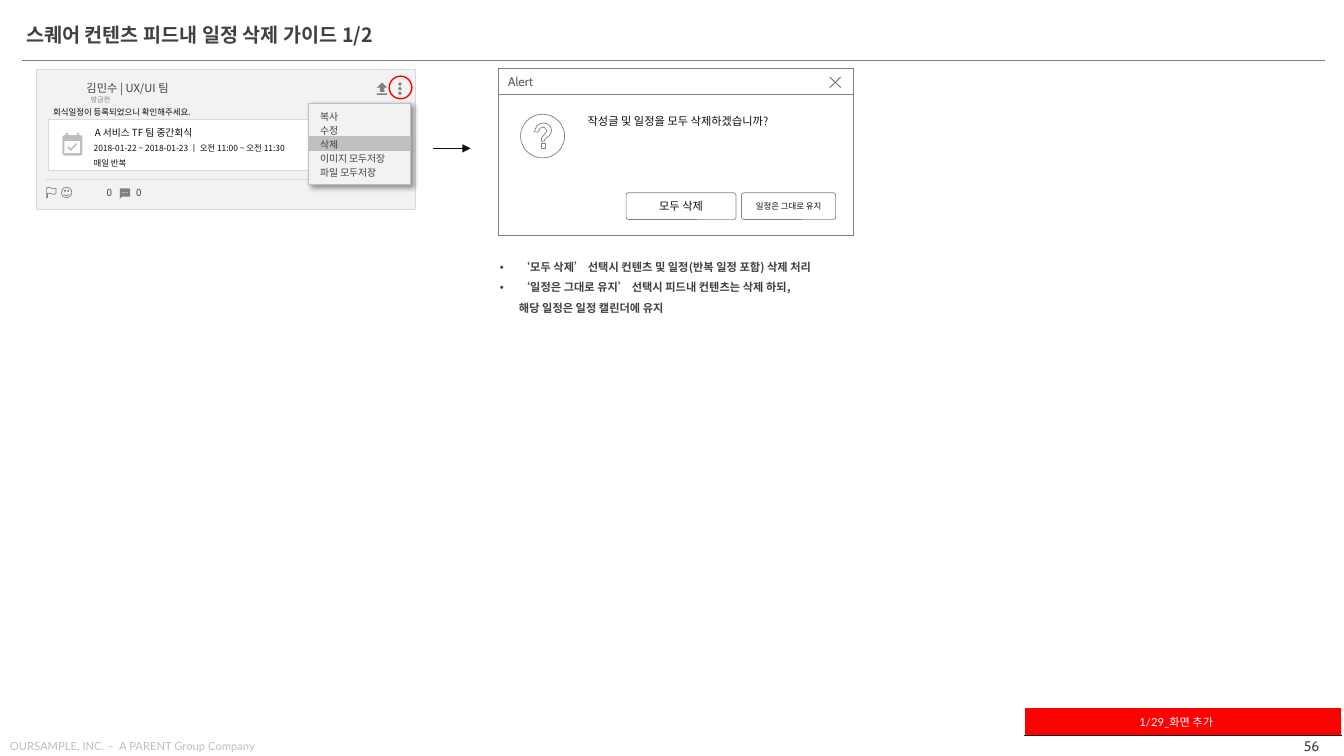
from lxml.etree import SubElement
from pptx import Presentation
from pptx.dml.color import RGBColor
from pptx.enum.shapes import MSO_CONNECTOR, MSO_SHAPE as Preset
from pptx.enum.text import MSO_ANCHOR as Anchor, PP_ALIGN as Align
from pptx.oxml.ns import qn
from pptx.util import Cm, Pt

COLORS = {
    "white": "FFFFFF", "ink": "0D0D0D", "text": "404040", "alert": "5F5F5F", "gray": "808080",
    "silver": "BFBFBF", "border": "D9D9D9", "panel": "F2F2F2", "red": "FF0000", "black": "000000",
}
NOTO, CABIN, LATO = "Noto Sans CJK KR", "Cabin", "Lato"

TITLE = ["스퀘어 컨텐츠 피드내 일정 삭제 가이드 1/2"]
FOOTER = ["OURSAMPLE, INC. –  A PARENT Group Company"]
SCHEDULE = ["2018-01-22 ~ 2018-01-23 ㅣ 오전 11:00 ~ 오전 11:30", "매일 반복"]
MENU = ["복사", "수정", "삭제", "이미지 모두저장", "파일 모두저장"]
NOTES = [
    "‘모두 삭제’ 선택시 컨텐츠 및 일정(반복 일정 포함) 삭제 처리",
    "‘일정은 그대로 유지’ 선택시 피드내 컨텐츠는 삭제 하되, \n해당 일정은 일정 캘린더에 유지",
]
BUTTONS = [(18.69, 2.37, "일정은 그대로 유지", 6), (15.78, 2.77, "모두 삭제", 8)]
COUNTS = [(3.43, "0"), (2.69, "0")]

CALENDAR = [
    [(16.5, 11), (15.5, 10), (10.6, 14.9), (8.5, 12.8), (7.4, 13.8), (10.6, 17)],
    [(19, 3), (18, 3), (18, 1), (16, 1), (16, 3), (8, 3), (8, 1), (6, 1), (6, 3), (5, 3),
     (3.6, 3.6), (3, 5), (3, 19), (3.6, 20.4), (5, 21), (19, 21), (20.4, 20.4), (21, 19),
     (21, 5), (20.4, 3.6)],
    [(19, 19), (5, 19), (5, 8), (19, 8)],
]
UPLOAD = [
    [(9, 16), (15, 16), (15, 10), (19, 10), (12, 3), (5, 10), (9, 10)],
    [(5, 18), (19, 18), (19, 20), (5, 20)],
]
COMMENT = [
    [(20, 2), (4, 2), (2.6, 2.6), (2, 4), (2, 22), (6, 18), (20, 18), (21.4, 17.4), (22, 16),
     (22, 4), (21.4, 2.6)],
    *[[(x, 11), (x - 2, 11), (x - 2, 9), (x, 9)] for x in (9, 13, 17)],
]
FLAG = [[(0, 10), (0, 1), (1.5, 0.2), (3, 0), (6, 1.4), (7.5, 1.5), (9, 1), (9, 6), (7.5, 6.9),
         (5.5, 6.6), (3, 5.7), (1, 6), (1, 10)]]
CROSS = [[(1, 0), (0, 1)], [(0, 0), (1, 1)]]
QUESTION = [
    [(10, 18), (7, 18), (7, 16), (7.3, 14.3), (9, 12), (11.3, 9.7), (12.2, 7.8), (11.3, 5.3),
     (8.5, 4), (5.5, 5.2), (4, 9), (0, 8.7), (1, 5.5), (3, 2.5), (5.8, 0.7), (9, 0), (12, 0.6),
     (14.5, 2.2), (16.4, 4.5), (17, 7.3), (16.4, 10), (15, 12.4), (11.4, 15), (10.2, 16.4)],
    [(11, 20), (11, 25), (7, 25), (7, 20)],
]

presentation = Presentation()
presentation.slide_width, presentation.slide_height = Cm(33.87), Cm(19.05)
slide = presentation.slides.add_slide(presentation.slide_layouts[6])
shapes = slide.shapes


def color(name):
    return RGBColor.from_string(COLORS[name])


def paint(shape, fill=None, line=None, width=0.5):
    shape.shadow.inherit = False
    if fill:
        shape.fill.solid()
        shape.fill.fore_color.rgb = color(fill)
    else:
        shape.fill.background()
    if line:
        shape.line.color.rgb = color(line)
        shape.line.width = Pt(width)
    else:
        shape.line.fill.background()
    return shape


def add_text(run, size, font, ink, bold):
    run.font.size, run.font.name, run.font.bold = Pt(size), font, bold
    run.font.color.rgb = color(ink)
    SubElement(run.font._element, qn("a:ea"), typeface=NOTO)


def write(frame, lines, size, font=NOTO, ink="text", bold=False, anchor=Anchor.MIDDLE,
          align=Align.LEFT, insets=(0, 0, 0, 0), wrap=True, spacing=None, bullet=False):
    frame.word_wrap, frame.vertical_anchor = wrap, anchor
    frame.margin_left, frame.margin_top, frame.margin_right, frame.margin_bottom = map(Cm, insets)
    for index, line in enumerate(lines):
        paragraph = frame.add_paragraph() if index else frame.paragraphs[0]
        paragraph.alignment = align
        if spacing:
            paragraph.line_spacing = spacing
        if bullet:
            properties = paragraph._p.get_or_add_pPr()
            properties.set("marL", str(Cm(0.48)))
            properties.set("indent", str(-Cm(0.48)))
            SubElement(properties, qn("a:buFont"), typeface="Arial")
            SubElement(properties, qn("a:buChar"), char="•")
        for part, words in enumerate(line.split("\n")):
            if part:
                paragraph.add_line_break()
            run = paragraph.add_run()
            run.text = words
            add_text(run, size, font, ink, bold)


def add_label(box, lines, size, **style):
    write(shapes.add_textbox(*map(Cm, box)).text_frame, lines, size, **style)


def add_box(box, fill=None, line=None, width=0.5, preset=Preset.RECTANGLE):
    return paint(shapes.add_shape(preset, *map(Cm, box)), fill, line, width)


def add_line(left, right, top, ink, width):
    line = shapes.add_connector(MSO_CONNECTOR.STRAIGHT, Cm(left), Cm(top), Cm(right), Cm(top))
    line.line.color.rgb = color(ink)
    line.line.width = Pt(width)
    SubElement(line._element.spPr, qn("a:effectLst"))
    return line


def add_icon(box, outlines, fill=None, line=None, width=0.5, close=True):
    left, top, wide, high = map(Cm, box)
    xs, ys = zip(*[point for outline in outlines for point in outline])
    x_scale, y_scale = wide / (max(xs) - min(xs)), high / (max(ys) - min(ys))
    placed = [[(left + (x - min(xs)) * x_scale, top + (y - min(ys)) * y_scale)
               for x, y in outline] for outline in outlines]
    builder = shapes.build_freeform(*placed[0][0])
    for index, outline in enumerate(placed):
        if index:
            builder.move_to(*outline[0])
        builder.add_line_segments(outline[1:], close=close)
    paint(builder.convert_to_shape(), fill, line, width)


def add_menu_shadow(shape):
    effects = shape._element.spPr.find(qn("a:effectLst"))
    shadow = SubElement(effects, qn("a:outerShdw"), blurRad=str(Pt(4)), dist=str(Pt(3)),
                        dir="2700000", algn="tl", rotWithShape="0")
    tint = SubElement(shadow, qn("a:srgbClr"), val=COLORS["black"])
    SubElement(tint, qn("a:alpha"), val="40000")


def draw_frame():
    add_label((31.55, 18.52, 1.8, 0.53), ["56"], 10, font=CABIN, align=Align.RIGHT,
              insets=(0.1, 0.13, 0.1, 0.13), wrap=False)
    add_label((0.15, 18.49, 9.12, 0.53), FOOTER, 8, font=LATO, ink="silver", anchor=Anchor.TOP,
              insets=(0.1, 0.13, 0.1, 0.13), wrap=False)
    add_line(0.56, 33.38, 1.52, "gray", 0.75)
    add_label((0.56, 0.48, 10.03, 0.81), TITLE, 14, bold=True, anchor=Anchor.TOP,
              insets=(0.1,) * 4, wrap=False)


def draw_feed():
    add_box((0.91, 1.75, 9.55, 3.53), "panel", "border")
    add_label((2.18, 2.06, 3.53, 0.33), ["김민수 | UX/UI 팀"], 8)
    add_label((2.29, 2.41, 3.53, 0.2), ["방금전"], 5, ink="gray")
    add_label((1.24, 2.57, 4.04, 0.51), ["회식일정이 등록되었으니 확인해주세요."], 6, ink="ink",
              insets=(0.1, 0.13, 0.1, 0.13), wrap=False)
    add_box((1.22, 3.02, 9.07, 1.27), "white", "border")
    add_label((2.39, 3.2, 4.95, 0.3), ["A 서비스 TF 팀 중간회식"], 7, ink="ink")
    add_label((2.36, 3.48, 7.29, 0.76), SCHEDULE, 6, ink="ink", spacing=1.5)
    add_icon((1.57, 3.35, 0.51, 0.57), CALENDAR, "silver")
    add_line(1.17, 10.26, 4.52, "border", 0.75)
    for dot in range(3):
        add_box((10.04, 2.08 + dot * 0.115, 0.08, 0.08), "gray", preset=Preset.OVAL)
    add_icon((9.5, 2.08, 0.26, 0.31), UPLOAD, "gray")
    add_icon((3.02, 4.75, 0.26, 0.26), COMMENT, "gray")
    for left, count in COUNTS:
        add_label((left, 4.7, 0.33, 0.3), [count], 7)
    add_box((1.55, 4.72, 0.26, 0.26), None, "gray", preset=Preset.SMILEY_FACE)
    add_icon((1.17, 4.72, 0.24, 0.26), FLAG, line="gray")


def draw_menu():
    item = dict(insets=(0.3, 0, 0, 0), spacing=Pt(10))
    menu = add_box((7.77, 2.6, 2.57, 2.04), "panel", "silver", 0.75)
    add_menu_shadow(menu)
    write(menu.text_frame, MENU, 7, **item)
    add_box((9.81, 1.92, 0.57, 0.57), None, "red", 1, Preset.OVAL)
    chosen = add_box((7.77, 3.43, 2.57, 0.36), "silver", "silver", 0.25)
    write(chosen.text_frame, [MENU[2]], 7, **item)
    arrow = add_line(10.9, 11.86, 3.74, "ink", 1)
    SubElement(arrow.line._get_or_add_ln(), qn("a:tailEnd"), type="triangle")


def draw_alert():
    add_box((12.55, 2.39, 8.95, 3.54), "white", "gray")
    add_label((14.61, 2.77, 6.38, 1.9), ["작성글 및 일정을 모두 삭제하겠습니까?"], 8, font=CABIN,
              ink="ink", anchor=Anchor.TOP, insets=(0.2, 0.1, 0.2, 0.1))
    header = add_box((12.55, 1.73, 8.95, 0.66), "white", "gray")
    write(header.text_frame, ["Alert"], 9, font=CABIN, ink="alert",
          insets=(0.25, 0.13, 0.64, 0.13))
    add_icon((20.91, 1.94, 0.28, 0.27), CROSS, line="gray", width=0.75, close=False)
    add_box((13.12, 2.88, 1.11, 1.1), None, "gray", preset=Preset.OVAL)
    add_icon((13.47, 3.1, 0.43, 0.64), QUESTION, line="gray")
    for left, width, caption, size in BUTTONS:
        button = add_box((left, 4.86, width, 0.67), "white", "gray",
                         preset=Preset.ROUNDED_RECTANGLE)
        button.adjustments[0] = 0.09
        write(button.text_frame, [caption], size, font=CABIN, ink="ink", align=Align.CENTER,
              insets=(0.25, 0.13, 0.25, 0.13))
    add_label((12.5, 6.3, 8.53, 1.75), NOTES, 8, bold=True, anchor=Anchor.TOP,
              insets=(0.1,) * 4, wrap=False, spacing=1.5, bullet=True)


def draw_revision():
    table = shapes.add_table(1, 1, Cm(25.81), Cm(17.83), Cm(8), Cm(0.69)).table
    table.first_row = table.horz_banding = False
    cell = table.cell(0, 0)
    write(cell.text_frame, ["1/29_화면 추가"], 8, font=LATO, ink="white", align=Align.CENTER)
    cell.vertical_anchor = Anchor.MIDDLE
    cell.margin_left = cell.margin_top = cell.margin_bottom = Cm(0.05)
    cell.margin_right = Cm(0.38)
    border = SubElement(cell._tc.get_or_add_tcPr(), qn("a:lnB"), w=str(Pt(0.25)))
    SubElement(SubElement(border, qn("a:solidFill")), qn("a:srgbClr"), val=COLORS["ink"])
    cell.fill.solid()
    cell.fill.fore_color.rgb = color("red")


for draw in (draw_frame, draw_feed, draw_menu, draw_alert, draw_revision):
    draw()
presentation.save("out.pptx")
